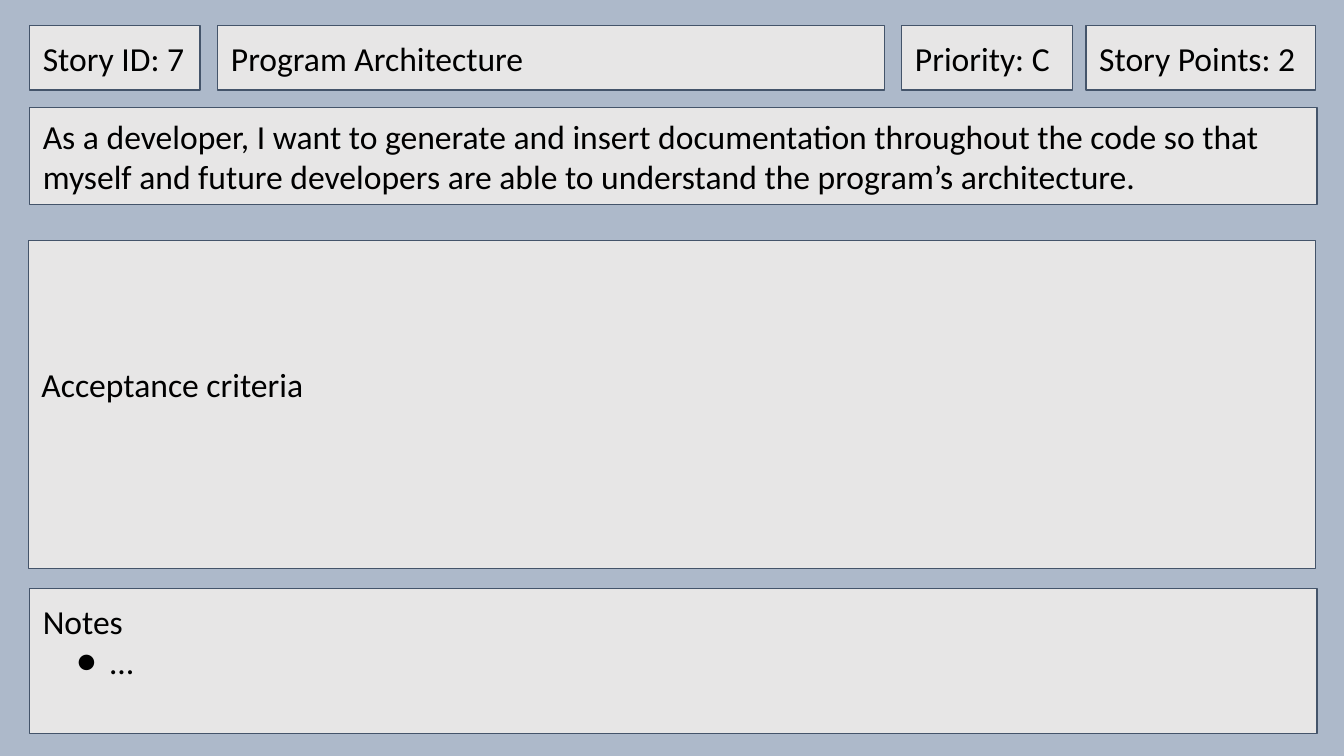
import pptx
import pptx.util
import pptx.dml.color
import pptx.enum.shapes
import pptx.enum.text
import pptx.oxml.ns
import lxml.etree
from dataclasses import dataclass

Inches = pptx.util.Inches


@dataclass(frozen=True)
class Theme:
    back: str = "ADB9CA"
    card: str = "E7E6E6"
    edge: str = "44546A"
    ink: str = "000000"
    font: str = "Calibri"
    size: int = 18
    line: float = 0.75
    pad: float = 0.1


theme = Theme()


def color(code):
    return pptx.dml.color.RGBColor.from_string(code)


def paint(fill, code):
    fill.solid()
    fill.fore_color.rgb = color(code)


def bullet(para):
    props = para._p.get_or_add_pPr()
    props.set("marL", str(Inches(0.5)))
    props.set("indent", str(Inches(-0.25)))
    for tag, key, value in [("a:buFont", "typeface", theme.font),
                            ("a:buChar", "char", "●")]:
        part = lxml.etree.Element(pptx.oxml.ns.qn(tag))
        part.set(key, value)
        props.insert_element_before(part, "a:tabLst", "a:defRPr", "a:extLst")


def card(slide, left, top, width, height, text, items=(), foot=theme.pad):
    """Draw a bordered card with a line of text and optional bullets."""
    kind = pptx.enum.shapes.MSO_SHAPE.RECTANGLE
    box = slide.shapes.add_shape(
        kind, Inches(left), Inches(top), Inches(width), Inches(height))
    box.shadow.inherit = False
    paint(box.fill, theme.card)
    box.line.color.rgb = color(theme.edge)
    box.line.width = pptx.util.Pt(theme.line)

    frame = box.text_frame
    frame.word_wrap = True
    frame.vertical_anchor = pptx.enum.text.MSO_ANCHOR.MIDDLE
    frame.margin_left = frame.margin_right = Inches(theme.pad)
    frame.margin_top = Inches(theme.pad)
    frame.margin_bottom = Inches(foot)
    frame.text = "\n".join([text, *items])
    for para in frame.paragraphs:
        para.alignment = pptx.enum.text.PP_ALIGN.LEFT
        para.font.name = theme.font
        para.font.size = pptx.util.Pt(theme.size)
        para.font.color.rgb = color(theme.ink)
    for para in frame.paragraphs[1:]:
        bullet(para)


def main():
    # Widescreen page, 16 to 9
    deck = pptx.Presentation()
    deck.slide_width = Inches(10)
    deck.slide_height = Inches(10 * 9 / 16)
    slide = deck.slides.add_slide(deck.slide_layouts[6])
    paint(slide.background.fill, theme.back)

    # Header row
    header = [
        (0.22, 1.27, "Story ID: 7"),
        (1.62, 4.96, "Program Architecture"),
        (6.71, 1.27, "Priority: C"),
        (8.08, 1.71, "Story Points: 2"),
    ]
    for left, width, text in header:
        card(slide, left, 0.19, width, 0.48, text)

    # Full-width cards; a deeper foot lifts the text above the middle
    wide = 9.58
    lift = 0.4
    card(slide, 0.22, 0.8, wide, 0.72,
         "As a developer, I want to generate and insert documentation "
         "throughout the code so that myself and future developers are able "
         "to understand the program’s architecture.")
    card(slide, 0.21, 1.79, wide, 2.44, "Acceptance criteria", foot=lift)
    card(slide, 0.22, 4.38, wide, 1.08, "Notes", ["…"], foot=lift)

    deck.save("out.pptx")


main()
